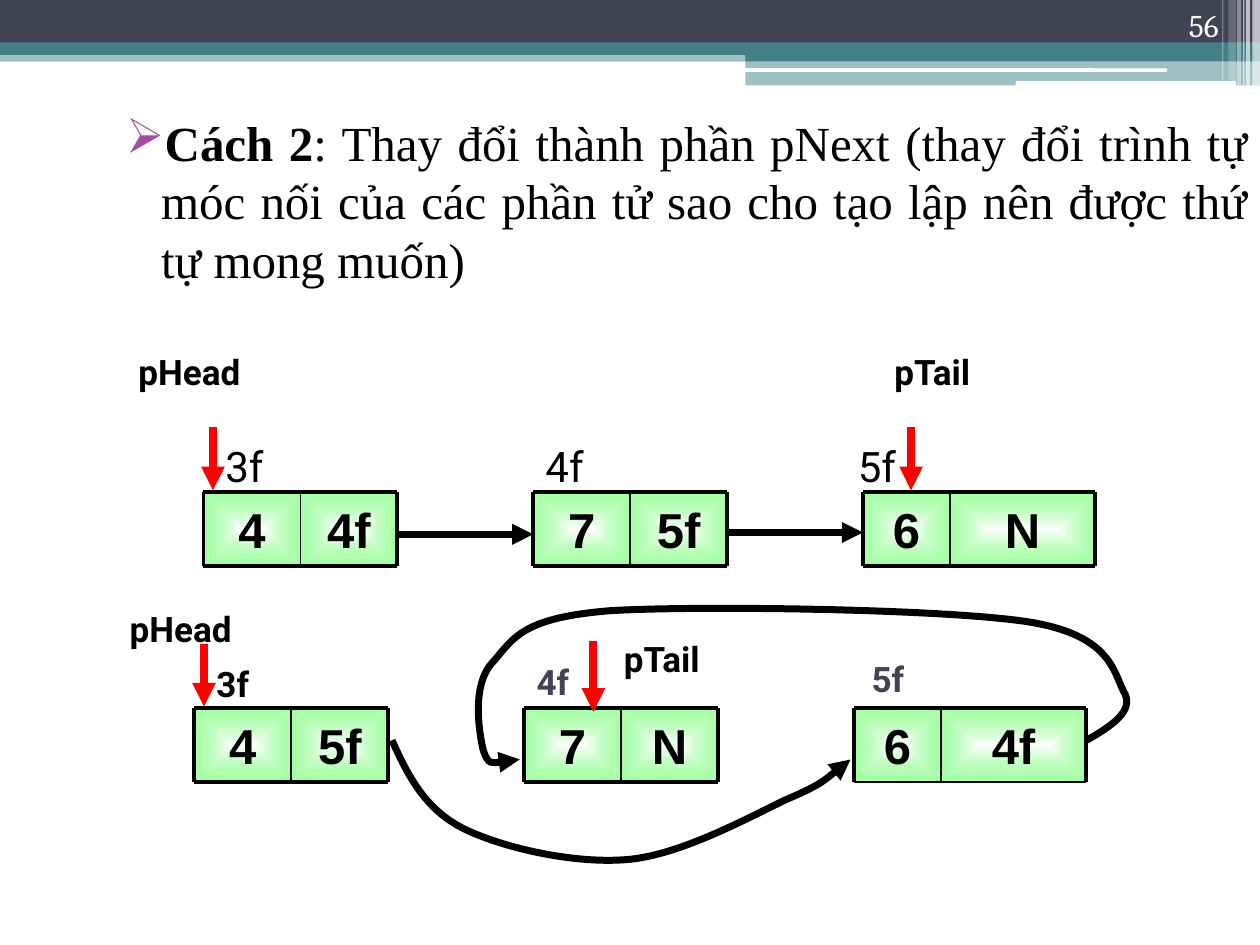
from typing import NamedTuple

from lxml.etree import SubElement
from pptx import Presentation
from pptx.dml.color import RGBColor
from pptx.enum.shapes import MSO_CONNECTOR as Connector, MSO_SHAPE as Preset
from pptx.enum.text import MSO_ANCHOR as Anchor, PP_ALIGN as Align
from pptx.oxml import parse_xml
from pptx.oxml.ns import nsdecls, qn
from pptx.util import Pt

BLACK, WHITE, RED = "000000", "FFFFFF", "FF0000"
NAVY, TEAL, PURPLE = "424456", "438086", "A04DA3"
UPPER, LOWER = 281.3, 404.8
NODE_HEIGHT, NODE_PITCH = 42, 188.4
EVEN, WIDE = (55.4, 55.4), (49.8, 82.9)
GRADIENT = (
    f'<a:gradFill {nsdecls("a")} rotWithShape="1"><a:gsLst>'
    '<a:gs pos="0"><a:srgbClr val="FFFFFF"/></a:gs>'
    '<a:gs pos="100000"><a:srgbClr val="69FF69"><a:alpha val="60000"/></a:srgbClr></a:gs>'
    '</a:gsLst><a:path path="shape">'
    '<a:fillToRect l="50000" t="50000" r="50000" b="50000"/></a:path></a:gradFill>'
)


class Band(NamedTuple):
    left: float
    top: float
    width: float
    height: float
    color: str
    opacity: int = 100
    preset: Preset = Preset.RECTANGLE


class Label(NamedTuple):
    text: str
    left: float
    top: float
    width: float
    size: float = 20
    bold: bool = True
    color: str = BLACK
    outlined: bool = False


class Node(NamedTuple):
    left: float
    top: float
    widths: tuple[float, float]
    values: tuple[str, str]
    bottom_weight: float = 2.25


class Arrow(NamedTuple):
    start: tuple[float, float]
    end: tuple[float, float]
    color: str
    weight: float


BANDS = [
    Band(0, 28.8, 720, 6.5, TEAL, 50),
    Band(0, 0, 720, 24.5, NAVY),
    Band(0, 24.2, 720, 7.2, TEAL),
    Band(426, 28, 294, 7, TEAL),
    Band(426, 34.6, 294, 14.2, TEAL, 50),
    Band(425.5, 39, 241.5, 2, WHITE, 100, Preset.ROUNDED_RECTANGLE),
    Band(580.4, 46.2, 126, 2.8, WHITE, 100, Preset.ROUNDED_RECTANGLE),
    Band(715.7, 0, 4.3, 49, WHITE, 65),
    Band(712, 0, 2.2, 49, WHITE, 65),
    Band(710.4, 0, 0.8, 49, WHITE, 60),
    Band(707, 0, 2.2, 49, WHITE, 40),
    Band(702, 0, 4.3, 46, WHITE, 20),
    Band(698.4, 0, 0.8, 46, WHITE, 30),
]
LABELS = [
    Label("pHead", 72, 196.6, 99.4),
    Label("pTail", 504, 196.6, 77.8),
    Label("3f", 121.7, 248.4, 49.7, 24, False),
    Label("4f", 304.6, 248.4, 49.7, 24, False),
    Label("5f", 483.1, 248.4, 49.7, 24, False),
    Label("pHead", 67, 343.8, 99.4),
    Label("pTail", 349.4, 360.9, 77.8),
    Label("3f", 116.6, 375.1, 49.7),
    Label("4f", 299.5, 373.9, 49.7, 20, True, NAVY, True),
    Label("5f", 491, 372.2, 49.7, 20, True, NAVY, True),
]
ROWS = [
    (116.3, UPPER, [("4", "4f"), ("7", "5f"), ("6", "N")], 2.25),
    (111.1, LOWER, [("4", "5f"), ("7", "N"), ("6", "4f")], 0.75),
]
ARROWS = [
    Arrow((227.1, 305.3), (304.7, 305.3), BLACK, 4),
    Arrow((415.5, 304.3), (493.1, 304.3), BLACK, 4),
    Arrow((121.7, 244.2), (121.7, 280.2), RED, 4.5),
    Arrow((520.6, 244.2), (520.6, 280.2), RED, 4.5),
    Arrow((116.6, 367.8), (116.6, 403.8), RED, 4.5),
    Arrow((339.1, 366.5), (339.1, 406.8), RED, 4.5),
]
CURVES = [
    [(223.9, 423.4), (233.3, 442.8), (243.4, 463), (265.7, 474.5),
     (288.7, 485.3), (329.8, 493.9), (360, 491),
     (390.2, 488.2), (428.4, 466.6), (449.3, 457.2),
     (470.2, 447.8), (477.4, 441.4), (486, 434.2)],
    [(621.4, 423.4), (635, 414.7), (648.7, 406.1), (642.2, 394.6),
     (636.5, 383), (633.6, 362.2), (585.4, 355),
     (536.4, 347.8), (400.3, 345.6), (349.2, 349.2),
     (298.8, 352.8), (293.8, 364.3), (281.5, 378),
     (269.3, 391), (273.6, 419), (276.5, 428.4),
     (278.6, 438.5), (288, 436.3), (297.4, 434.2)],
]


def rgb(color: str) -> RGBColor:
    return RGBColor.from_string(color)


def format_span(span, font: str, size: float, color: str, bold: bool = False) -> None:
    span.font.name = font
    span.font.size = Pt(size)
    span.font.bold = bold
    span.font.color.rgb = rgb(color)


def add_text_box(page, left: float, top: float, width: float, height: float):
    box = page.shapes.add_textbox(Pt(left), Pt(top), Pt(width), Pt(height))
    box.text_frame.word_wrap = True
    return box


def draw_band(page, band: Band) -> None:
    shape = page.shapes.add_shape(
        band.preset, Pt(band.left), Pt(band.top), Pt(band.width), Pt(band.height))
    shape.shadow.inherit = False
    shape.line.fill.background()
    shape.fill.solid()
    shape.fill.fore_color.rgb = rgb(band.color)
    if band.opacity < 100:
        tint = shape.fill._xPr.find(".//" + qn("a:srgbClr"))
        SubElement(tint, qn("a:alpha"), val=str(band.opacity * 1000))


def draw_label(page, label: Label) -> None:
    box = add_text_box(page, label.left, label.top, label.width, label.size * 1.2 + 7.2)
    if label.outlined:
        box.line.color.rgb = rgb(WHITE)
        box.line.width = Pt(3)
    box.text_frame.text = label.text
    span = box.text_frame.paragraphs[0].runs[0]
    format_span(span, "Roboto", label.size, label.color, label.bold)


def add_arrowhead(shape) -> None:
    SubElement(shape.line._get_or_add_ln(), qn("a:tailEnd"), type="triangle")


def draw_line(page, start, end, color: str, weight: float):
    line = page.shapes.add_connector(Connector.STRAIGHT, *map(Pt, start + end))
    line.line.color.rgb = rgb(color)
    line.line.width = Pt(weight)
    SubElement(line._element.spPr, qn("a:effectLst"))
    return line


def draw_cell(page, left: float, top: float, width: float, value: str) -> None:
    cell = page.shapes.add_shape(
        Preset.RECTANGLE, Pt(left), Pt(top), Pt(width), Pt(NODE_HEIGHT))
    cell.shadow.inherit = False
    cell._element.spPr.find(qn("a:prstGeom")).addnext(parse_xml(GRADIENT))
    cell.line.color.rgb = rgb(BLACK)
    cell.line.width = Pt(0.75)
    frame = cell.text_frame
    frame.text = value
    frame.vertical_anchor = Anchor.MIDDLE
    frame.paragraphs[0].alignment = Align.CENTER
    format_span(frame.paragraphs[0].runs[0], "Arial", 28, BLACK, True)


def draw_node(page, node: Node) -> None:
    left, top = node.left, node.top
    middle = left + node.widths[0]
    right, bottom = middle + node.widths[1], top + NODE_HEIGHT
    for x, width, value in zip((left, middle), node.widths, node.values):
        draw_cell(page, x, top, width, value)
    for y, weight in ((top, 2.25), (bottom, node.bottom_weight)):
        draw_line(page, (left, y), (right, y), BLACK, weight)
    for x, weight in ((left, 2.25), (middle, 1), (right, 2.25)):
        draw_line(page, (x, top), (x, bottom), BLACK, weight)


def draw_curve(page, points: list[tuple[float, float]]) -> None:
    builder = page.shapes.build_freeform(*points[0], scale=float(Pt(1)))
    builder.add_line_segments(points[1:], close=False)
    curve = builder.convert_to_shape()
    curve.shadow.inherit = False
    curve.fill.background()
    curve.line.color.rgb = rgb(BLACK)
    curve.line.width = Pt(4)
    add_arrowhead(curve)
    outline = curve._element.spPr.find(".//" + qn("a:path"))
    segments = outline.findall(qn("a:lnTo"))
    for first in range(0, len(segments), 3):
        bezier = SubElement(outline, qn("a:cubicBezTo"))
        for segment in segments[first:first + 3]:
            bezier.append(segment[0])
            outline.remove(segment)


def draw_statement(page) -> None:
    box = add_text_box(page, 56.2, 60.5, 663.8, 130.3)
    para = box.text_frame.paragraphs[0]
    para.alignment = Align.JUSTIFY
    layout = para._p.get_or_add_pPr()
    layout.set("marL", str(Pt(28.8)))
    layout.set("indent", str(Pt(-20.2)))
    SubElement(SubElement(layout, qn("a:buClr")), qn("a:srgbClr"), val=PURPLE)
    SubElement(layout, qn("a:buChar"), char="➢")
    for text, bold in (
        ("Cách 2", True),
        (": Thay đổi thành phần pNext (thay đổi trình tự móc nối của các phần tử "
         "sao cho tạo lập nên được thứ tự mong muốn)", False),
    ):
        span = para.add_run()
        span.text = text
        format_span(span, "Times New Roman", 28, BLACK, bold)


def draw_page_number(page) -> None:
    box = add_text_box(page, 643.7, 0, 59.8, 28.8)
    box.text_frame.vertical_anchor = Anchor.BOTTOM
    box.text_frame.text = "56"
    para = box.text_frame.paragraphs[0]
    para.alignment = Align.RIGHT
    format_span(para.runs[0], "Cambria", 18, WHITE)


def main() -> None:
    deck = Presentation()
    deck.slide_width, deck.slide_height = Pt(720), Pt(540)
    page = deck.slides.add_slide(deck.slide_layouts[6])
    for band in BANDS:
        draw_band(page, band)
    draw_statement(page)
    for label in LABELS:
        draw_label(page, label)
    for left, top, values, last_weight in ROWS:
        for column, pair in enumerate(values):
            widths, weight = (WIDE, last_weight) if column == 2 else (EVEN, 2.25)
            draw_node(page, Node(left + column * NODE_PITCH, top, widths, pair, weight))
    for arrow in ARROWS:
        add_arrowhead(draw_line(page, *arrow))
    for points in CURVES:
        draw_curve(page, points)
    draw_page_number(page)
    deck.save("out.pptx")


if __name__ == "__main__":
    main()
